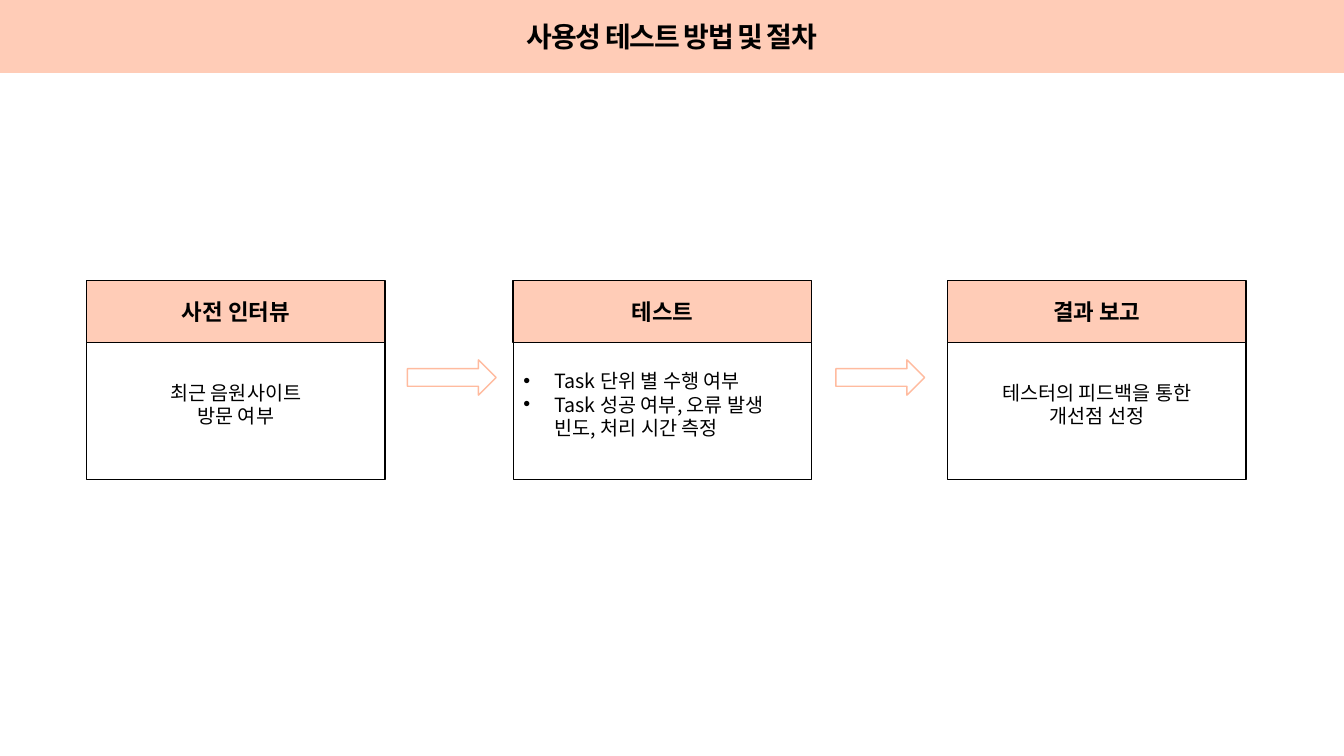
from lxml.etree import SubElement
from pptx import Presentation
from pptx.dml.color import RGBColor
from pptx.enum.shapes import MSO_SHAPE
from pptx.enum.text import MSO_ANCHOR, MSO_AUTO_SIZE, PP_ALIGN
from pptx.oxml.ns import qn
from pptx.util import Inches, Pt

PEACH = RGBColor(0xFF, 0xCC, 0xB7)
ARROW_PEACH = RGBColor(0xFF, 0xBB, 0x9F)
WHITE = RGBColor(0xFF, 0xFF, 0xFF)
BLACK = RGBColor(0, 0, 0)

CARD_WIDTH = 2.96
HEADING_TOP, HEADING_HEIGHT = 2.78, 0.62
DETAIL_TOP, DETAIL_HEIGHT = 3.26, 1.5
ARROW_TOP, ARROW_WIDTH, ARROW_HEIGHT = 3.57, 0.88, 0.35

STEPS = [
    (0.86, "사전 인터뷰", ["최근 음원사이트", "방문 여부"], False),
    (5.09, "테스트", ["Task 단위 별 수행 여부", "Task 성공 여부, 오류 발생 빈도, 처리 시간 측정"], True),
    (9.4, "결과 보고", ["테스터의 피드백을 통한", "개선점 선정"], False),
]
ARROW_LEFTS = [4.04, 8.29]


class ProcessSlide:
    font_name = "Noto Sans CJK KR"

    def __init__(self, presentation):
        self.slide = presentation.slides.add_slide(presentation.slide_layouts[1])

    def paint(self, shape, fill, line):
        shape.shadow.inherit = False
        shape.fill.solid()
        shape.fill.fore_color.rgb = fill
        shape.line.color.rgb = line
        shape.line.width = Pt(1)

    def place(self, shape, left, top, width, height):
        shape.left, shape.top = Inches(left), Inches(top)
        shape.width, shape.height = Inches(width), Inches(height)

    def add_text(self, shape, lines, size, bold=False, bulleted=False, spacing=0):
        frame = shape.text_frame
        frame.word_wrap = True
        frame.auto_size = MSO_AUTO_SIZE.NONE
        frame.vertical_anchor = MSO_ANCHOR.MIDDLE
        for index, line in enumerate(lines):
            paragraph = frame.add_paragraph() if index else frame.paragraphs[0]
            paragraph.alignment = PP_ALIGN.LEFT if bulleted else PP_ALIGN.CENTER
            paragraph.space_before = Pt(0)
            if bulleted:
                self.add_bullet(paragraph)
            run = paragraph.add_run()
            run.text = line
            run.font.size = Pt(size)
            run.font.bold = bold
            run.font.color.rgb = BLACK
            run.font.name = self.font_name
            properties = run._r.get_or_add_rPr()
            SubElement(properties, qn("a:ea")).set("typeface", self.font_name)
            if spacing:
                properties.set("spc", str(spacing * 100))

    def add_bullet(self, paragraph):
        properties = paragraph._p.get_or_add_pPr()
        properties.set("marL", str(Inches(0.31)))
        properties.set("indent", str(Inches(-0.31)))
        SubElement(properties, qn("a:buFont")).set("typeface", "Arial")
        SubElement(properties, qn("a:buChar")).set("char", "•")

    def add_title(self, text):
        title = self.slide.shapes.title
        self.place(title, 0, 0, 13.33, 0.72)
        self.paint(title, PEACH, PEACH)
        self.add_text(title, [text], 20, bold=True, spacing=-1)

    def add_box(self, left, top, width, height, fill, line, preset=MSO_SHAPE.RECTANGLE):
        box = self.slide.shapes.add_shape(
            preset, Inches(left), Inches(top), Inches(width), Inches(height))
        self.paint(box, fill, line)
        return box

    def add_step(self, left, heading, details, bulleted):
        area = (left, DETAIL_TOP, CARD_WIDTH, DETAIL_HEIGHT)
        if bulleted:
            detail = self.slide.placeholders[1]
            self.place(detail, *area)
            self.paint(detail, WHITE, BLACK)
        else:
            detail = self.add_box(*area, WHITE, BLACK)
        self.add_text(detail, details, 14, bulleted=bulleted)
        header = self.add_box(left, HEADING_TOP, CARD_WIDTH, HEADING_HEIGHT, PEACH, BLACK)
        self.add_text(header, [heading], 16, bold=True)

    def add_arrow(self, left):
        self.add_box(left, ARROW_TOP, ARROW_WIDTH, ARROW_HEIGHT,
                     WHITE, ARROW_PEACH, MSO_SHAPE.RIGHT_ARROW)


def main():
    presentation = Presentation()
    presentation.slide_width = Inches(13.33)
    presentation.slide_height = Inches(7.5)
    process = ProcessSlide(presentation)
    process.add_title("사용성 테스트 방법 및 절차")
    for step in STEPS:
        process.add_step(*step)
    for left in ARROW_LEFTS:
        process.add_arrow(left)
    presentation.save("out.pptx")


if __name__ == "__main__":
    main()
